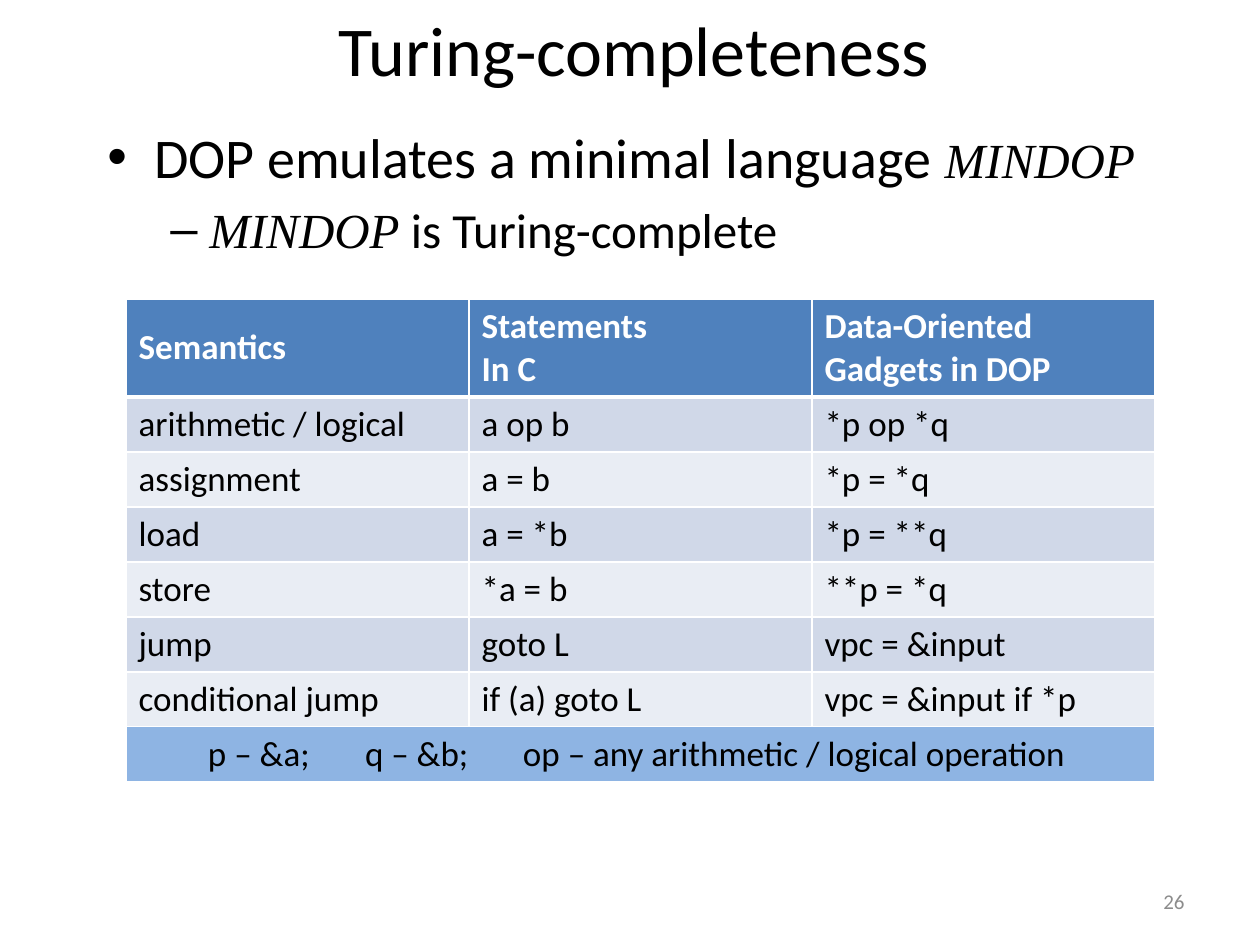
from lxml.etree import SubElement
from pptx import Presentation
from pptx.dml.color import RGBColor
from pptx.enum.text import MSO_ANCHOR as Anchor, PP_ALIGN as Align
from pptx.oxml.ns import qn
from pptx.util import Emu, Pt

PX_PER_INCH = 126
BLACK = RGBColor(0x00, 0x00, 0x00)
WHITE = RGBColor(0xFF, 0xFF, 0xFF)
GRAY = RGBColor(0x8C, 0x8C, 0x8C)
HEADER_BLUE = RGBColor(0x4F, 0x81, 0xBD)
BAND_DARK = RGBColor(0xD0, 0xD8, 0xE8)
BAND_LIGHT = RGBColor(0xE9, 0xED, 0xF4)
LEGEND_BLUE = RGBColor(0x8E, 0xB4, 0xE3)

SANS = "Calibri"
LANGUAGE_NAME = {"name": "Times New Roman", "size": Pt(28), "italic": True}

HEADER = ["Semantics", "Statements\nIn C", "Data-Oriented\nGadgets in DOP"]
OPERATIONS = [
    ["arithmetic / logical", "a op b", "*p op *q"],
    ["assignment", "a = b", "*p = *q"],
    ["load", "a = *b", "*p = **q"],
    ["store", "*a = b", "**p = *q"],
    ["jump", "goto L", "vpc = &input"],
    ["conditional jump", "if (a) goto L", "vpc = &input if *p"],
]
LEGEND = ["p – &a;", "q – &b;", "op – any arithmetic / logical operation"]


def px(length):
    return Emu(round(length * 914400 / PX_PER_INCH))


def style_font(font, color=BLACK, **values):
    for name, value in {"name": SANS, **values}.items():
        setattr(font, name, value)
    font.color.rgb = color


def add_span(para, text, **values):
    span = para.add_run()
    span.text = text
    style_font(span.font, **values)


def add_frame(page, box, anchor=Anchor.TOP):
    frame = page.shapes.add_textbox(*map(px, box)).text_frame
    frame.word_wrap = True
    frame.vertical_anchor = anchor
    return frame


def add_line(page, box, text, align, **values):
    """Place one vertically centred line of text in the box."""
    para = add_frame(page, box, Anchor.MIDDLE).paragraphs[0]
    para.alignment = align
    add_span(para, text, **values)


def set_bullet(para, mark, indent, hang):
    props = para._p.get_or_add_pPr()
    props.set("marL", str(px(indent)))
    props.set("indent", str(-px(hang)))
    SubElement(props, qn("a:buFont"), typeface="Arial")
    SubElement(props, qn("a:buChar"), char=mark)


def add_body(page, box):
    frame = add_frame(page, box)
    claim, detail = frame.paragraphs[0], frame.add_paragraph()
    detail.level = 1
    for para, mark, indent, hang, before in (
        (claim, "•", 47, 47, 6.4),
        (detail, "–", 102, 39, 5.6),
    ):
        para.space_before = Pt(before)
        set_bullet(para, mark, indent, hang)
    add_span(claim, "DOP emulates a minimal language ", size=Pt(32))
    add_span(claim, "MINDOP", **LANGUAGE_NAME)
    add_span(detail, "MINDOP ", **LANGUAGE_NAME)
    add_span(detail, "is Turing-complete", size=Pt(28))


def set_borders(cell, top=1, bottom=1):
    """Draw white cell borders; call before the fill is set."""
    props = cell._tc.get_or_add_tcPr()
    for side, width in (("L", 1), ("R", 1), ("T", top), ("B", bottom)):
        line = SubElement(props, qn(f"a:ln{side}"), w=str(Pt(width)))
        fill = SubElement(line, qn("a:solidFill"))
        SubElement(fill, qn("a:srgbClr"), val=str(WHITE))


def fill_cell(cell, text, fill, color=BLACK, bold=False, **borders):
    set_borders(cell, **borders)
    cell.fill.solid()
    cell.fill.fore_color.rgb = fill
    cell.vertical_anchor = Anchor.MIDDLE
    cell.text = text
    for para in cell.text_frame.paragraphs:
        for span in para.runs:
            style_font(span.font, color, size=Pt(20), bold=bold)


def add_legend(row_cells):
    """Merge the row and set its three notes on tab stops."""
    first, last = row_cells[0], row_cells[-1]
    first.merge(last)
    fill_cell(first, "\t".join(LEGEND), LEGEND_BLUE)
    first.margin_left = px(82)
    props = first.text_frame.paragraphs[0]._p.get_or_add_pPr()
    tabs = SubElement(props, qn("a:tabLst"))
    for stop in (157, 315):
        SubElement(tabs, qn("a:tab"), pos=str(px(stop)), algn="l")


def add_gadget_table(page, box):
    rows, columns = len(OPERATIONS) + 2, len(HEADER)
    table = page.shapes.add_table(rows, columns, *map(px, box)).table
    header_height = 98
    row_height = (box[3] - header_height) // (rows - 1)
    for index, row in enumerate(table.rows):
        row.height = px(row_height if index else header_height)
    for column, text in enumerate(HEADER):
        fill_cell(table.cell(0, column), text, HEADER_BLUE, WHITE, True, bottom=3)
    for index, texts in enumerate(OPERATIONS, start=1):
        band = BAND_DARK if index % 2 else BAND_LIGHT
        for column, text in enumerate(texts):
            fill_cell(table.cell(index, column), text, band,
                      top=3 if index == 1 else 1)
    add_legend([table.cell(rows - 1, column) for column in range(columns)])


def main():
    deck = Presentation()
    deck.slide_width, deck.slide_height = px(1260), px(945)
    page = deck.slides.add_slide(deck.slide_layouts[6])
    add_line(page, (67, -4, 1134, 105), "Turing-completeness",
             Align.CENTER, size=Pt(40))
    add_body(page, (95, 116, 1081, 168))
    add_gadget_table(page, (126, 299, 1029, 483))
    add_line(page, (903, 876, 294, 50), "26", Align.RIGHT,
             size=Pt(12), color=GRAY)
    deck.save("out.pptx")


if __name__ == "__main__":
    main()
